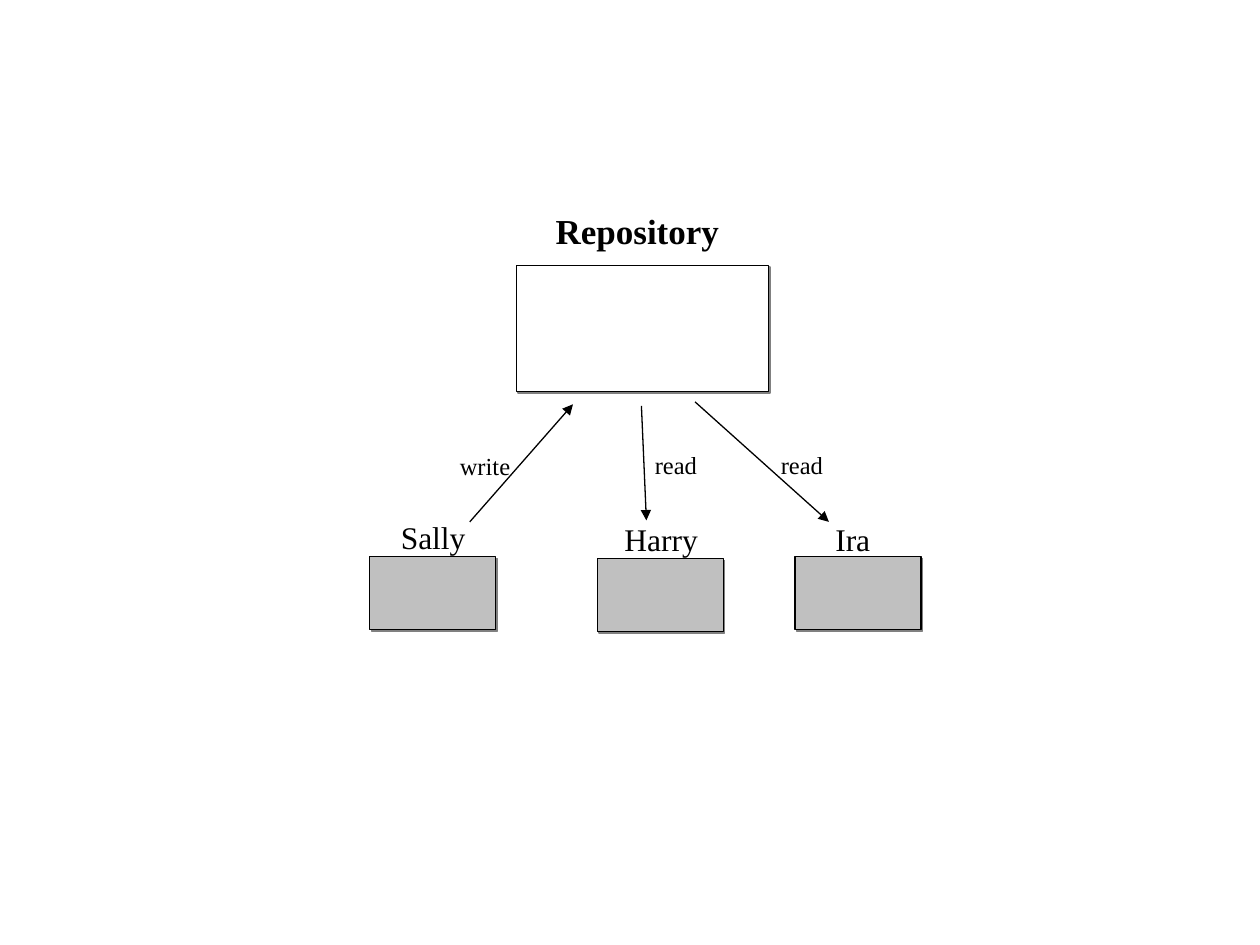
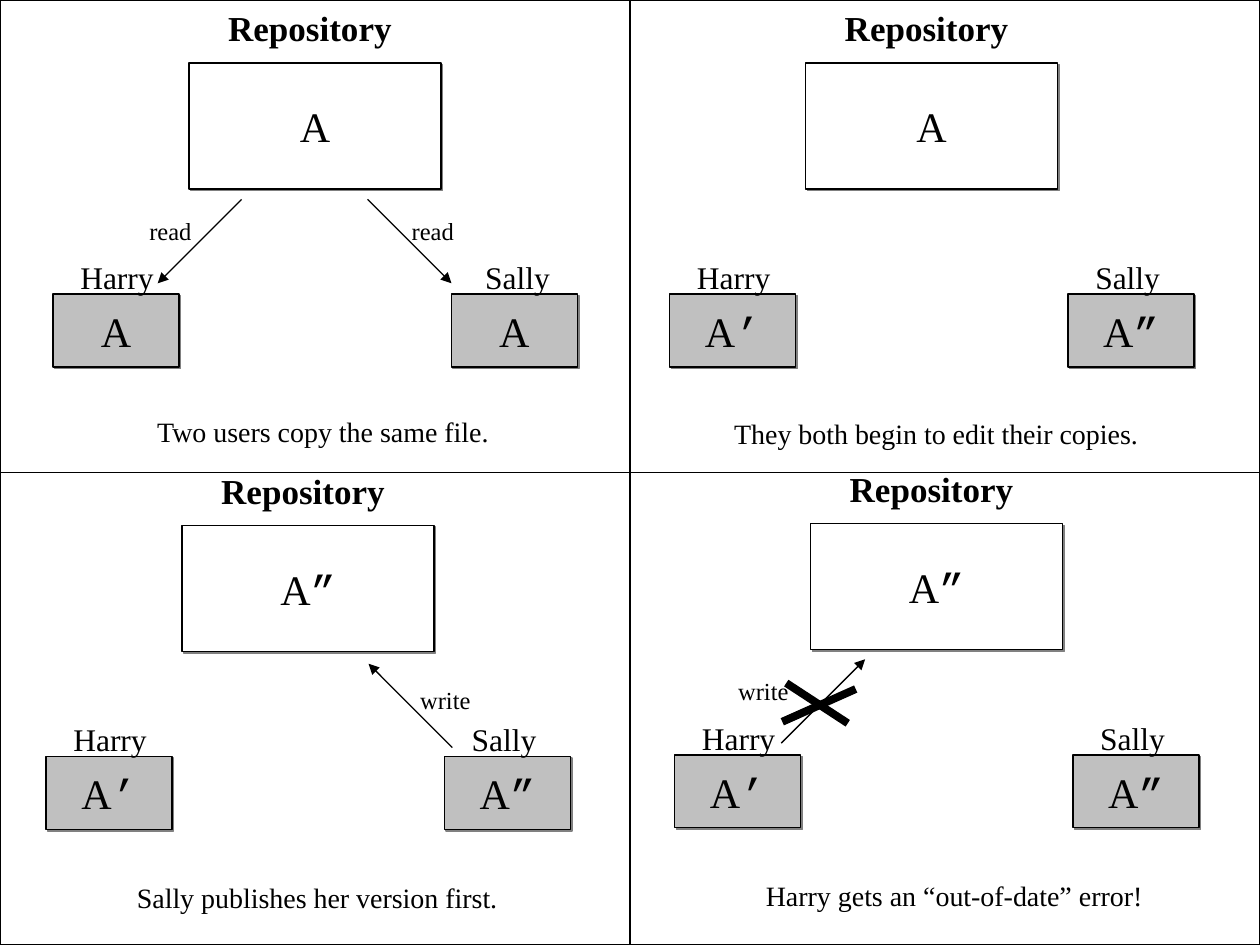
from dataclasses import dataclass

from lxml import etree
from pptx import Presentation
from pptx.dml.color import RGBColor
from pptx.enum.shapes import MSO_CONNECTOR, MSO_SHAPE
from pptx.enum.text import MSO_ANCHOR, MSO_AUTO_SIZE, PP_ALIGN
from pptx.oxml.ns import qn
from pptx.util import Cm, Pt

RECTANGLE = MSO_SHAPE.RECTANGLE
STRAIGHT = MSO_CONNECTOR.STRAIGHT
MIDDLE = MSO_ANCHOR.MIDDLE
FIT_TEXT = MSO_AUTO_SIZE.SHAPE_TO_FIT_TEXT
CENTER = PP_ALIGN.CENTER

BLACK = "000000"
WHITE = "FFFFFF"
SILVER = "C0C0C0"
GRAY = "808080"
SERIF = "Times New Roman"
MONO = "Courier New"

SLIDE_WIDTH, SLIDE_HEIGHT = 25.4, 19.05
REPOSITORY_SIZE = (5.08, 2.54)
USER_SIZE = (2.54, 1.47)
HARRY_OFFSET, SALLY_OFFSET, USER_DROP = -2.74, 5.29, 4.66
THIN, THICK = 0.75, 4.5
LABEL_WIDTHS = {"read": 1.42, "write": 1.56}


@dataclass(frozen=True)
class User:
    name: str
    left: float
    top: float
    version: str = ""
    name_right: float = 0.3
    name_rise: float = 0.85
    name_width: float = 2.54


@dataclass(frozen=True)
class Line:
    start: tuple[float, float]
    end: tuple[float, float]
    width: float = THIN
    arrow: bool = True


@dataclass(frozen=True)
class Label:
    text: str
    left: float
    top: float


@dataclass(frozen=True)
class Caption:
    text: str
    left: float
    top: float
    width: float


@dataclass(frozen=True)
class Panel:
    left: float
    top: float
    versions: tuple[str, str, str]
    caption: Caption
    lines: tuple[Line, ...] = ()
    labels: tuple[Label, ...] = ()
    sally_name_right: float = 0.3


OVERVIEW_USERS = (
    User("Sally", 7.45, 11.22, name_right=0.38, name_rise=0.91, name_width=2.13),
    User("Harry", 12.04, 11.26, name_rise=0.9, name_width=2.18),
    User("Ira", 16.03, 11.22, name_right=0.56, name_rise=0.86, name_width=1.42),
)
OVERVIEW_LINES = (
    Line((9.47, 10.52), (11.55, 8.15)),
    Line((12.93, 8.18), (13.03, 10.49)),
    Line((14.01, 8.1), (16.71, 10.52)),
)
OVERVIEW_LABELS = (
    Label("write", 9.02, 8.97),
    Label("read", 12.95, 8.94),
    Label("read", 15.49, 8.94),
)
PANELS = (
    Panel(
        3.81, 1.27, ("A", "A", "A"),
        Caption("Two users copy the same file.", 2.92, 8.23, 7.28),
        (Line((4.87, 4.02), (3.18, 5.71)), Line((7.41, 4.02), (9.1, 5.71))),
        (Label("read", 2.76, 4.24), Label("read", 8.05, 4.24)),
        sally_name_right=0.43,
    ),
    Panel(
        16.24, 1.27, ("A", "A’", "A”"),
        Caption("They both begin to edit their copies.", 14.55, 8.27, 8.75),
    ),
    Panel(
        3.67, 10.59, ("A”", "A’", "A”"),
        Caption("Sally publishes her version first.", 2.51, 17.63, 7.88),
        (Line((9.12, 15.07), (7.43, 13.38)),),
        (Label("write", 8.22, 13.69),),
    ),
    Panel(
        16.34, 10.56, ("A”", "A’", "A”"),
        Caption("Harry gets an “out-of-date” error!", 15.19, 17.58, 8.18),
        (
            Line((15.75, 14.98), (17.44, 13.29)),
            Line((15.85, 13.77), (17.09, 14.58), THICK, False),
            Line((17.25, 13.89), (15.77, 14.55), THICK, False),
        ),
        (Label("write", 14.63, 13.5),),
    ),
)


def color(value: str) -> RGBColor:
    return RGBColor.from_string(value)


def style_run(run, size: float, font: str = SERIF, bold: bool = False) -> None:
    run.font.name = font
    run.font.size = Pt(size)
    run.font.bold = bold
    run.font.color.rgb = color(BLACK)


def add_text(slide, text: str, left: float, top: float, width: float, height: float,
             size: float, bold: bool = False, wrap: bool = False) -> None:
    box = slide.shapes.add_textbox(Cm(left), Cm(top), Cm(width), Cm(height))
    frame = box.text_frame
    frame.word_wrap = wrap
    frame.auto_size = FIT_TEXT
    frame.text = text
    style_run(frame.paragraphs[0].runs[0], size, bold=bold)


def add_rectangle(slide, left: float, top: float, size: tuple[float, float]):
    width, height = size
    shape = slide.shapes.add_shape(RECTANGLE, Cm(left), Cm(top), Cm(width), Cm(height))
    shape.fill.background()
    shape.line.color.rgb = color(BLACK)
    shape.line.width = Pt(THIN)
    shape.shadow.inherit = False
    return shape


def add_file_box(slide, left: float, top: float, size: tuple[float, float],
                 fill: str, version: str) -> None:
    shape = add_rectangle(slide, left, top, size)
    shape.fill.solid()
    shape.fill.fore_color.rgb = color(fill)
    effects = shape.element.spPr.find(qn("a:effectLst"))
    shadow = etree.SubElement(effects, qn("a:outerShdw"), dist=str(Pt(1.4)),
                              dir="2700000", algn="ctr", rotWithShape="0")
    etree.SubElement(shadow, qn("a:srgbClr"), val=GRAY)
    frame = shape.text_frame
    frame.word_wrap = False
    frame.vertical_anchor = MIDDLE
    paragraph = frame.paragraphs[0]
    paragraph.alignment = CENTER
    for character in version:
        run = paragraph.add_run()
        run.text = character
        style_run(run, 24, SERIF if character == "A" else MONO)


def add_repository(slide, left: float, top: float, version: str = "") -> None:
    add_file_box(slide, left, top, REPOSITORY_SIZE, WHITE, version)
    add_text(slide, "Repository", left + 0.54, top - 1.26, 4.01, 1.12, 20, bold=True, wrap=True)


def add_user(slide, user: User) -> None:
    add_file_box(slide, user.left, user.top, USER_SIZE, SILVER, user.version)
    add_text(slide, user.name, user.left + user.name_right, user.top - user.name_rise,
             user.name_width, 1.02, 18, wrap=True)


def add_line(slide, line: Line) -> None:
    connector = slide.shapes.add_connector(STRAIGHT, *map(Cm, line.start + line.end))
    connector.line.color.rgb = color(BLACK)
    connector.line.width = Pt(line.width)
    properties = connector.element.spPr
    if line.arrow:
        etree.SubElement(properties.find(qn("a:ln")), qn("a:tailEnd"), type="triangle")
    etree.SubElement(properties, qn("a:effectLst"))


def add_lines_and_labels(slide, lines: tuple[Line, ...], labels: tuple[Label, ...]) -> None:
    for line in lines:
        add_line(slide, line)
    for label in labels:
        add_text(slide, label.text, label.left, label.top, LABEL_WIDTHS[label.text], 0.86, 14)


def add_panel(slide, panel: Panel) -> None:
    repository_version, harry_version, sally_version = panel.versions
    user_top = panel.top + USER_DROP
    add_repository(slide, panel.left, panel.top, repository_version)
    add_user(slide, User("Harry", panel.left + HARRY_OFFSET, user_top, harry_version))
    add_user(slide, User("Sally", panel.left + SALLY_OFFSET, user_top, sally_version,
                         name_right=panel.sally_name_right))
    add_lines_and_labels(slide, panel.lines, panel.labels)
    caption = panel.caption
    add_text(slide, caption.text, caption.left, caption.top, caption.width, 0.94, 16)


def build_overview(slide) -> None:
    add_repository(slide, 10.41, 5.35)
    for user in OVERVIEW_USERS:
        add_user(slide, user)
    add_lines_and_labels(slide, OVERVIEW_LINES, OVERVIEW_LABELS)


def build_panels(slide) -> None:
    size = (SLIDE_WIDTH / 2, SLIDE_HEIGHT / 2)
    for index in range(len(PANELS)):
        row, column = divmod(index, 2)
        add_rectangle(slide, column * size[0], row * size[1], size)
    for panel in PANELS:
        add_panel(slide, panel)


def main() -> None:
    presentation = Presentation()
    presentation.slide_width = Cm(SLIDE_WIDTH)
    presentation.slide_height = Cm(SLIDE_HEIGHT)
    blank = presentation.slide_layouts[6]
    for build in (build_overview, build_panels):
        build(presentation.slides.add_slide(blank))
    presentation.save("out.pptx")


if __name__ == "__main__":
    main()
